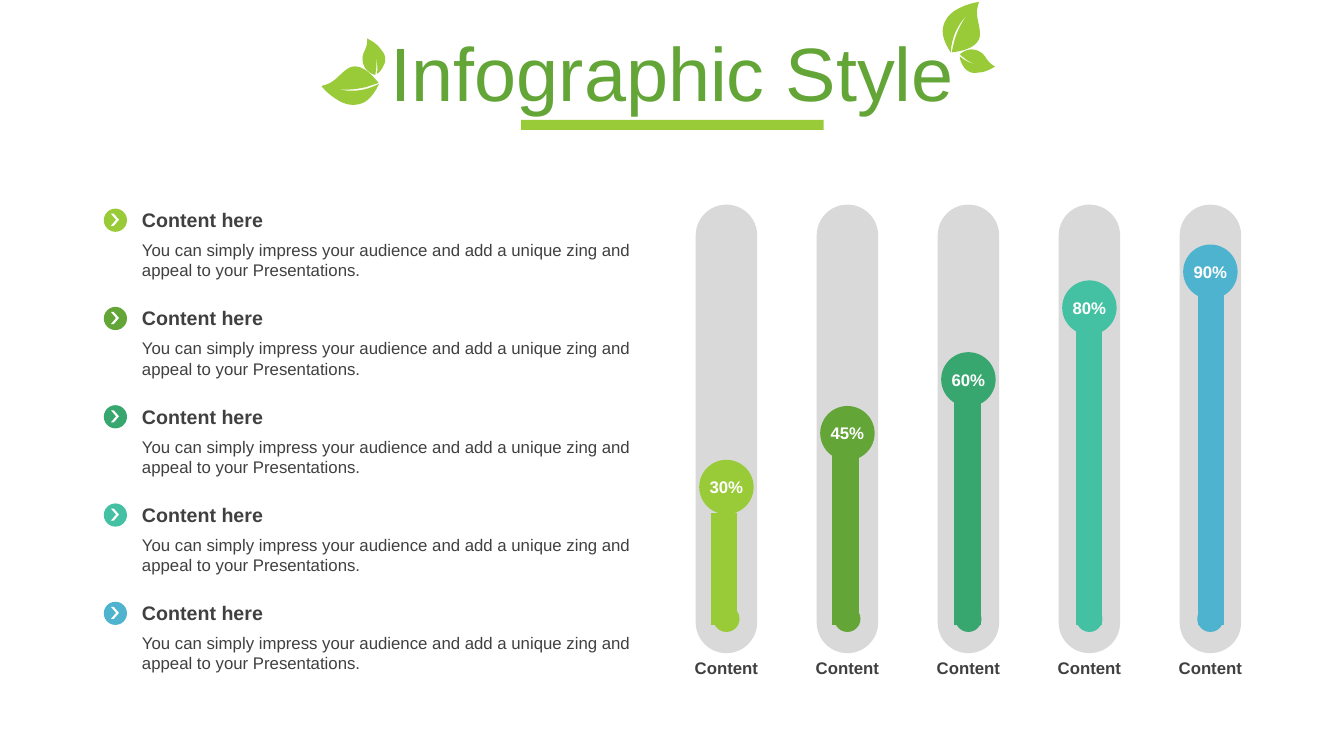
from math import cos, radians, sin

from lxml import etree
from pptx import Presentation
from pptx.chart.data import CategoryChartData
from pptx.dml.color import RGBColor
from pptx.enum import chart as ch, shapes, text
from pptx.util import Inches, Pt

COLORS = {"lime": "99CB38", "green": "63A537", "emerald": "37A76F",
          "teal": "44C1A3", "blue": "4EB3CF", "tube": "D9D9D9",
          "ink": "404040", "white": "FFFFFF"}
FONT = "Arial"
TITLE = "Infographic Style"
HEADING = "Content here"
BODY = ("You can simply impress your audience and add a unique zing "
        "and appeal to your Presentations.")
TUBE_LABEL = "Content"
# colour, percentage on the knob, height of the bar
ITEMS = [("lime", 30, 33), ("green", 45, 50), ("emerald", 60, 67),
         ("teal", 80, 89), ("blue", 90, 100)]

ROW_TOP, ROW_PITCH = 2.01, 0.975
TUBE_LEFT, TUBE_TOP, TUBE_PITCH = 6.9, 2.03, 1.2
TUBE_WIDTH, TUBE_HEIGHT = 0.61, 4.45
KNOB, FOOT = 0.54, 0.26
KNOB_ZERO, KNOB_PER_PERCENT = 5.63, 0.0356
CHART_BOX = (6.45, 2.42, 6.29, 3.86)
PLOT_LAYOUT = {"x": 0.02, "y": 0.11, "w": 0.96, "h": 0.87}

# Each leaf: start point, then curves of two control points and an end point
BIG_LEAF = [(9.43, 0.52),
            (9.44, 0.36), (9.5, 0.24), (9.61, 0.13),
            (9.54, 0.21), (9.5, 0.3), (9.47, 0.39),
            (9.46, 0.43), (9.45, 0.47), (9.44, 0.52),
            (9.51, 0.51), (9.59, 0.5), (9.66, 0.45),
            (9.7, 0.42), (9.72, 0.38), (9.72, 0.34),
            (9.72, 0.26), (9.69, 0.2), (9.69, 0.12),
            (9.69, 0.09), (9.7, 0.05), (9.71, 0.02),
            (9.63, 0.03), (9.55, 0.06), (9.48, 0.1),
            (9.41, 0.14), (9.35, 0.22), (9.35, 0.31),
            (9.35, 0.38), (9.39, 0.46), (9.43, 0.52)]
SMALL_LEAF = [(9.78, 0.65),
              (9.68, 0.65), (9.59, 0.62), (9.52, 0.56),
              (9.52, 0.61), (9.55, 0.65), (9.57, 0.68),
              (9.61, 0.72), (9.65, 0.73), (9.7, 0.72),
              (9.76, 0.72), (9.82, 0.69), (9.87, 0.66),
              (9.83, 0.64), (9.8, 0.61), (9.77, 0.56),
              (9.73, 0.51), (9.69, 0.49), (9.62, 0.49),
              (9.58, 0.5), (9.55, 0.51), (9.52, 0.54),
              (9.54, 0.56), (9.56, 0.57), (9.58, 0.59),
              (9.64, 0.63), (9.7, 0.65), (9.78, 0.65)]
# outline, its centre, and the centre of its turned twin left of the title
LEAVES = [(BIG_LEAF, (9.575, 0.275), (3.475, 0.835)),
          (SMALL_LEAF, (9.695, 0.615), (3.695, 0.555))]
LEAF_TURN = 238.6


def rgb(color):
    return RGBColor.from_string(COLORS[color])


def paint(shape, color):
    shape.shadow.inherit = False
    shape.fill.solid()
    shape.fill.fore_color.rgb = rgb(color)
    shape.line.fill.background()
    return shape


def add_shape(slide, kind, left, top, width, height, color):
    box = map(Inches, (left, top, width, height))
    return paint(slide.shapes.add_shape(kind, *box), color)


def write(shape, words, size, color, bold=False, center=False, middle=True):
    frame = shape.text_frame
    frame.word_wrap = True
    frame.vertical_anchor = text.MSO_ANCHOR.MIDDLE if middle else text.MSO_ANCHOR.TOP
    paragraph = frame.paragraphs[0]
    paragraph.alignment = text.PP_ALIGN.CENTER if center else text.PP_ALIGN.LEFT
    run = paragraph.add_run()
    run.text = words
    for name, value in {"name": FONT, "size": Pt(size), "bold": bold}.items():
        setattr(run.font, name, value)
    run.font.color.rgb = rgb(color)
    return paragraph


def add_text(slide, left, top, width, height, *words, **style):
    box = slide.shapes.add_textbox(*map(Inches, (left, top, width, height)))
    return write(box, *words, **style)


def flatten(outline, steps=8):
    """Turn a chain of cubic curves into short straight pieces."""
    points = [outline[0]]
    for i in range(0, len(outline) - 1, 3):
        curve = outline[i:i + 4]
        for step in range(1, steps + 1):
            t = step / steps
            weights = ((1 - t) ** 3, 3 * t * (1 - t) ** 2, 3 * t * t * (1 - t), t ** 3)
            points.append(tuple(sum(w * p[axis] for w, p in zip(weights, curve))
                                for axis in (0, 1)))
    return points


def add_leaf(slide, outline, center, target, degrees):
    turn_cos, turn_sin = cos(radians(degrees)), sin(radians(degrees))
    points = []
    for x, y in flatten(outline):
        dx, dy = x - center[0], y - center[1]
        points.append((Inches(target[0] + dx * turn_cos - dy * turn_sin),
                       Inches(target[1] + dx * turn_sin + dy * turn_cos)))
    builder = slide.shapes.build_freeform(*points[0], scale=1.0)
    builder.add_line_segments(points[1:], close=True)
    paint(builder.convert_to_shape(), "lime")


def add_header(slide):
    for outline, center, twin_center in LEAVES:
        add_leaf(slide, outline, center, center, 0)
        add_leaf(slide, outline, center, twin_center, LEAF_TURN)
    add_shape(slide, shapes.MSO_SHAPE.RECTANGLE, 5.17, 1.19, 3, 0.1, "lime")
    title = add_text(slide, 0.34, 0.37, 12.66, 0.79, TITLE, 54, "green", center=True)
    title.line_spacing = 0.9
    title.space_before = Pt(10)


def add_bars(slide):
    data = CategoryChartData()
    data.categories = [str(i + 1) for i in range(len(ITEMS))]
    data.add_series("Series 1", [height for _, _, height in ITEMS])
    chart = slide.shapes.add_chart(ch.XL_CHART_TYPE.COLUMN_STACKED,
                                   *map(Inches, CHART_BOX), data).chart
    chart.has_legend = chart.has_title = False
    chart.font.name, chart.font.size = FONT, Pt(18)
    axis = chart.value_axis
    axis.minimum_scale, axis.maximum_scale = 0, 100
    axis.has_major_gridlines = False
    axis.visible = chart.category_axis.visible = False
    plot = chart.plots[0]
    plot.gap_width, plot.overlap, plot.vary_by_categories = 360, 100, False
    for i, (color, _, _) in enumerate(ITEMS):
        fill = plot.series[0].points[i].format.fill
        fill.solid()
        fill.fore_color.rgb = rgb(color)

    area = chart._chartSpace.chart.plotArea
    namespace = "{%s}" % area.nsmap["c"]
    for old in area.findall(namespace + "layout"):
        area.remove(old)
    layout = etree.Element(namespace + "layout")
    manual = etree.SubElement(layout, namespace + "manualLayout")
    settings = {"layoutTarget": "inner", "xMode": "edge", "yMode": "edge", **PLOT_LAYOUT}
    for name, value in settings.items():
        etree.SubElement(manual, namespace + name).set("val", str(value))
    area.insert(0, layout)


def add_tubes(slide):
    lefts = [TUBE_LEFT + i * TUBE_PITCH for i in range(len(ITEMS))]
    for left in lefts:
        tube = add_shape(slide, shapes.MSO_SHAPE.ROUNDED_RECTANGLE, left, TUBE_TOP,
                         TUBE_WIDTH, TUBE_HEIGHT, "tube")
        tube.adjustments[0] = 0.5
    add_bars(slide)
    for left, (color, percent, _) in zip(lefts, ITEMS):
        middle = left + TUBE_WIDTH / 2
        add_shape(slide, shapes.MSO_SHAPE.OVAL, middle - FOOT / 2, 6.01, FOOT, FOOT, color)
        knob = add_shape(slide, shapes.MSO_SHAPE.OVAL, middle - KNOB / 2,
                         KNOB_ZERO - percent * KNOB_PER_PERCENT, KNOB, KNOB, color)
        knob.text_frame.margin_left = knob.text_frame.margin_right = 0
        write(knob, f"{percent}%", 12, "white", bold=True, center=True)
        add_text(slide, middle - 0.43, 6.48, 0.86, 0.3, TUBE_LABEL, 12, "ink",
                 bold=True, center=True)


def add_list(slide):
    for i, (color, _, _) in enumerate(ITEMS):
        top = ROW_TOP + i * ROW_PITCH
        add_shape(slide, shapes.MSO_SHAPE.OVAL, 1.03, top + 0.06, 0.23, 0.23, color)
        arrow = add_shape(slide, shapes.MSO_SHAPE.CHEVRON, 1.1, top + 0.11, 0.08, 0.12, "white")
        arrow.adjustments[0] = 0.65
        add_text(slide, 1.31, top, 5.18, 0.34, HEADING, 14, "ink", bold=True)
        add_text(slide, 1.31, top + 0.32, 5.18, 0.5, BODY, 12, "ink", middle=False)


def main():
    presentation = Presentation()
    presentation.slide_width, presentation.slide_height = Inches(13.33), Inches(7.5)
    slide = presentation.slides.add_slide(presentation.slide_layouts[6])
    add_header(slide)
    add_tubes(slide)
    add_list(slide)
    presentation.save("out.pptx")


if __name__ == "__main__":
    main()
